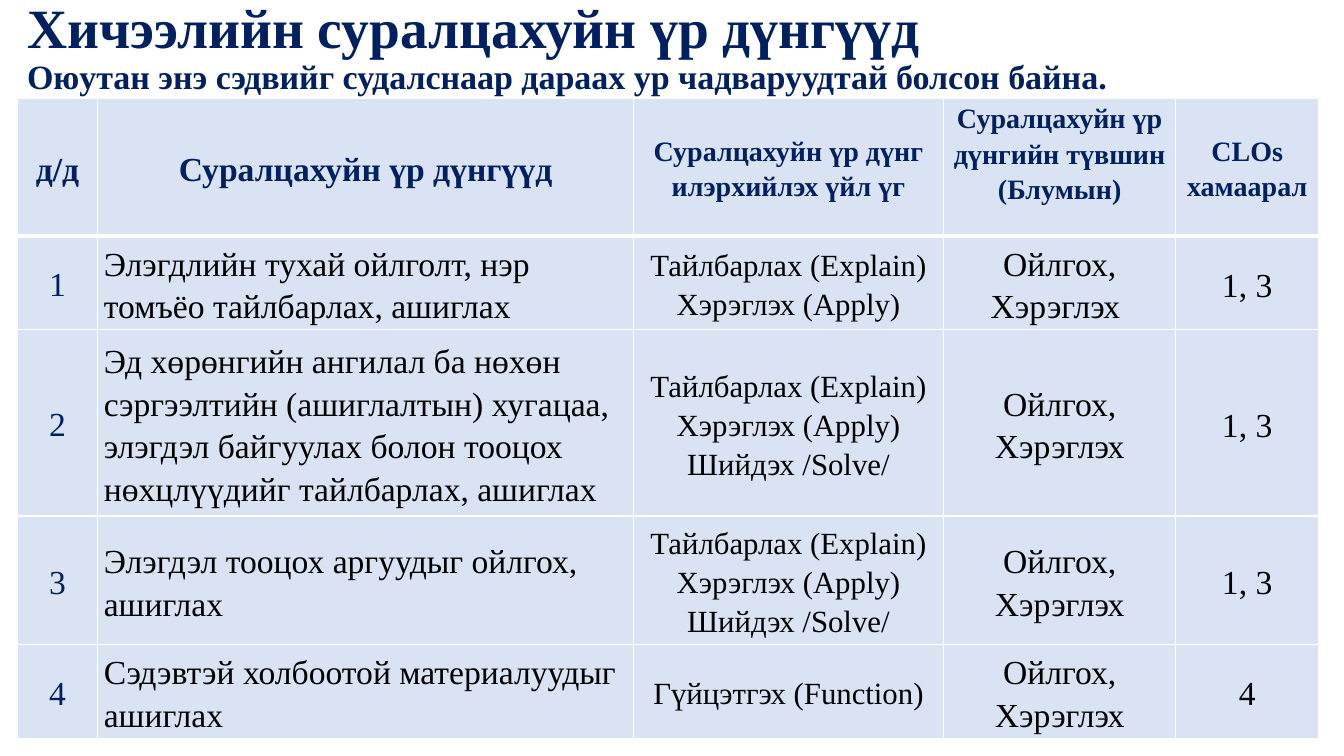
from lxml.etree import SubElement
from pptx import Presentation
from pptx.dml.color import RGBColor
from pptx.enum.text import MSO_ANCHOR, PP_ALIGN
from pptx.oxml.ns import qn
from pptx.util import Inches, Pt

NAVY, BLACK, WHITE, PALE = "002060", "000000", "FFFFFF", "DAE3F3"
COLS = [0.8, 5.31, 3.08, 2.3, 1.42]
ROWS = [1.36, 0.91, 1.84, 1.21, 0.91]
SIZES = [24, 24, 22, 24, 24]
HEADS = [
    ("д/д", 24),
    ("Суралцахуйн үр дүнгүүд", 24),
    ("Суралцахуйн үр дүнг илэрхийлэх үйл үг", 20),
    ("Суралцахуйн үр дүнгийн түвшин\n(Блумын)", 20),
    ("CLOs хамаарал", 20),
]
VERBS = "Тайлбарлах (Explain)\nХэрэглэх (Apply)"
SOLVE = VERBS + "\nШийдэх /Solve/"
LEVEL = "Ойлгох,\nХэрэглэх"
GOALS = [
    ("Элэгдлийн тухай ойлголт, нэр томъёо тайлбарлах, ашиглах",
     VERBS, LEVEL + " ", "1, 3"),
    ("Эд хөрөнгийн ангилал ба нөхөн сэргээлтийн (ашиглалтын) хугацаа, "
     "элэгдэл байгуулах болон тооцох нөхцлүүдийг тайлбарлах, ашиглах",
     SOLVE, LEVEL, "1, 3"),
    ("Элэгдэл тооцох аргуудыг ойлгох, ашиглах", SOLVE, LEVEL, "1, 3"),
    ("Сэдэвтэй холбоотой материалуудыг ашиглах",
     "Гүйцэтгэх (Function)", LEVEL, "4"),
]


def color(code):
    """Turn a hex string into a colour."""
    return RGBColor.from_string(code)


def write(frame, text, sizes, tint=NAVY, bold=False,
          align=PP_ALIGN.CENTER, space=1.15):
    """Fill a text frame, one paragraph for each line and size."""
    frame.word_wrap = True
    lines = text.split("\n")
    for num, line in enumerate(lines):
        para = frame.add_paragraph() if num else frame.paragraphs[0]
        para.alignment = align
        para.line_spacing = space
        run = para.add_run()
        run.text = line
        font = run.font
        font.name = "Times New Roman"
        font.size = Pt(sizes[min(num, len(sizes) - 1)])
        font.bold = bold
        font.color.rgb = color(tint)


def border(cell, widths):
    """Draw white borders on the sides named in widths."""
    props = cell._tc.get_or_add_tcPr()
    for side, width in widths.items():
        line = SubElement(props, qn("a:ln" + side), w=str(Pt(width)))
        fill = SubElement(line, qn("a:solidFill"))
        SubElement(fill, qn("a:srgbClr"), val=WHITE)


def style(cell, pads, under=1, over=1, anchor=MSO_ANCHOR.MIDDLE):
    """Set the borders, fill, margins and anchor of a cell."""
    border(cell, {"L": 1, "R": 1, "T": over, "B": under})
    cell.fill.solid()
    cell.fill.fore_color.rgb = color(PALE)
    side, top = pads
    cell.margin_left = cell.margin_right = Inches(side)
    cell.margin_top, cell.margin_bottom = Inches(top), Inches(0)
    cell.vertical_anchor = anchor


def add_title(slide):
    """Add the heading and the line below it."""
    box = slide.shapes.add_textbox(
        Inches(0.17), Inches(0.16), Inches(12.91), Inches(0.65))
    box.text_frame.vertical_anchor = MSO_ANCHOR.MIDDLE
    write(box.text_frame,
          "Хичээлийн суралцахуйн үр дүнгүүд\n"
          "Оюутан энэ сэдвийг судалснаар дараах ур чадваруудтай болсон байна.",
          [39.6, 24.3], bold=True, align=PP_ALIGN.LEFT, space=0.9)


def add_goals(slide):
    """Add the table of learning outcomes."""
    table = slide.shapes.add_table(
        len(ROWS), len(COLS), Inches(0.17), Inches(0.98),
        Inches(sum(COLS)), Inches(sum(ROWS))).table
    for col, width in zip(table.columns, COLS):
        col.width = Inches(width)
    for row, height in zip(table.rows, ROWS):
        row.height = Inches(height)
    for col, (text, size) in enumerate(HEADS):
        cell = table.cell(0, col)
        anchor = MSO_ANCHOR.TOP if col == 3 else MSO_ANCHOR.MIDDLE
        style(cell, (0.08, 0), under=3, anchor=anchor)
        write(cell.text_frame, text, [size], bold=True)
    for row, goal in enumerate(GOALS, 1):
        for col, text in enumerate((str(row), *goal)):
            cell = table.cell(row, col)
            style(cell, (0.06, 0.01) if col else (0.08, 0),
                  over=3 if row == 1 else 1)
            write(cell.text_frame, text, [SIZES[col]],
                  tint=BLACK if col else NAVY,
                  align=PP_ALIGN.LEFT if col == 1 else PP_ALIGN.CENTER)


def main():
    """Build and save the slide."""
    deck = Presentation()
    deck.slide_width, deck.slide_height = Inches(13.33), Inches(7.5)
    slide = deck.slides.add_slide(deck.slide_layouts[6])
    add_title(slide)
    add_goals(slide)
    deck.save("out.pptx")


if __name__ == "__main__":
    main()
